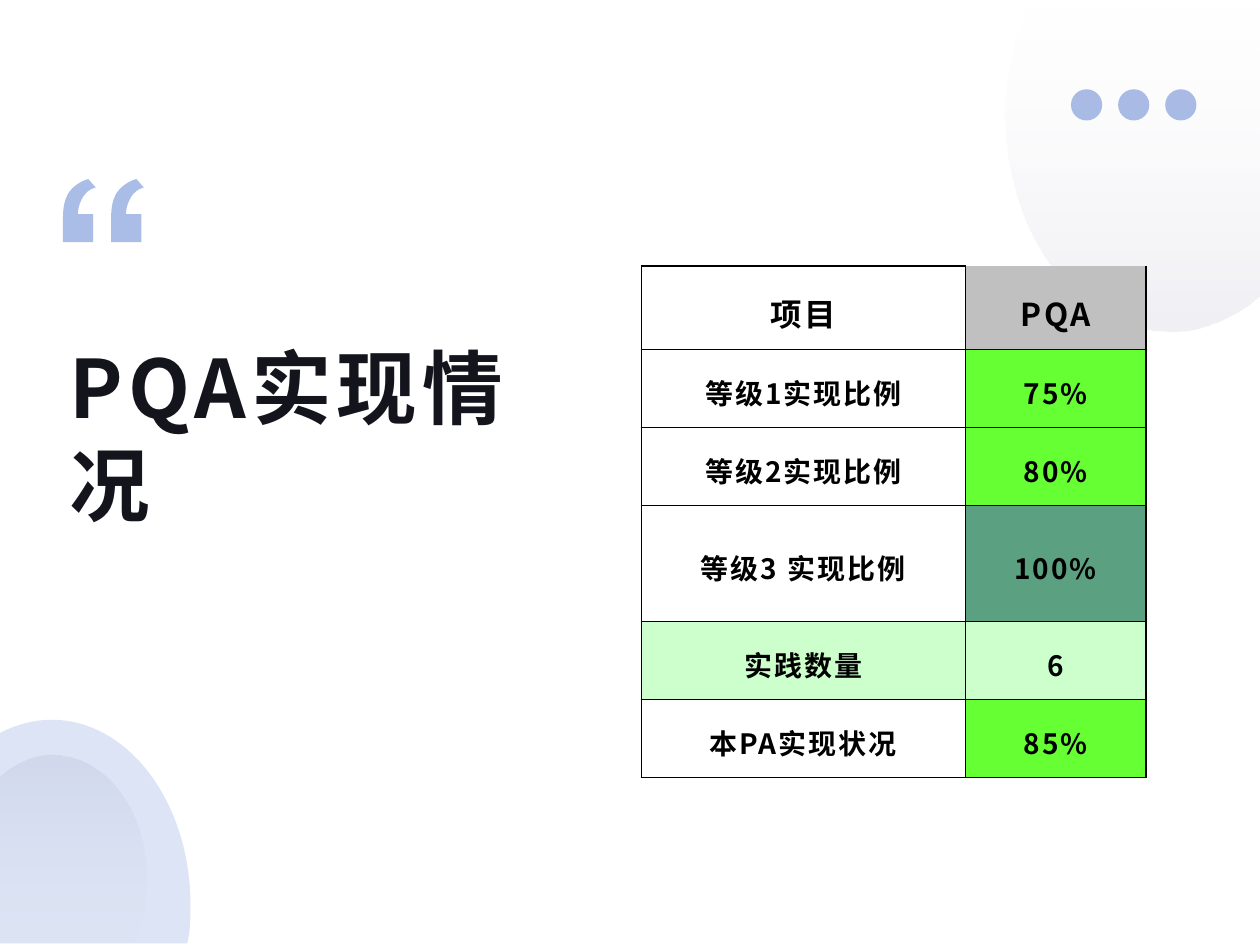
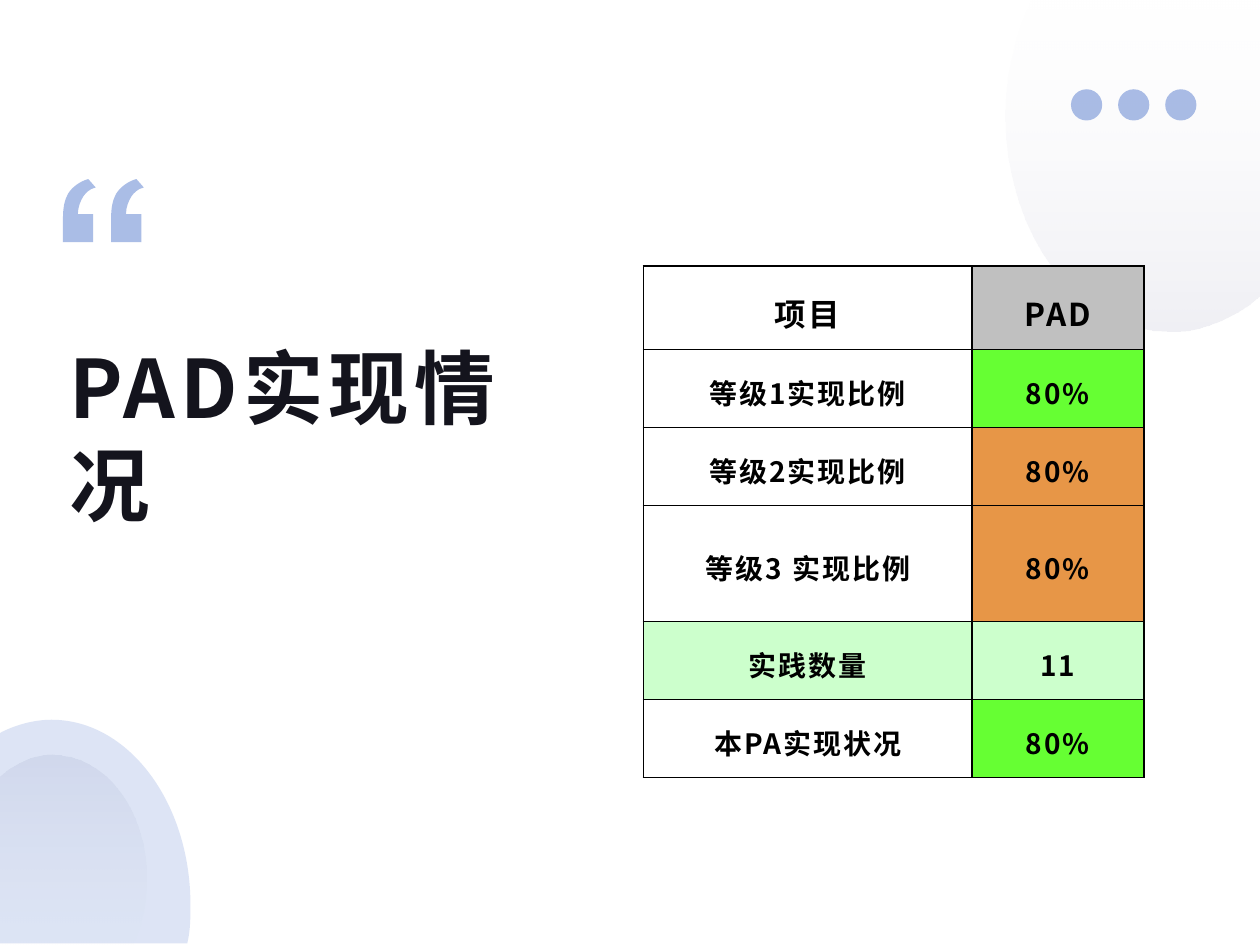
from lxml.etree import SubElement
from pptx import Presentation
from pptx.dml.color import RGBColor
from pptx.enum.shapes import MSO_SHAPE
from pptx.enum.text import MSO_ANCHOR, PP_ALIGN
from pptx.oxml.ns import qn
from pptx.util import Cm, Pt

FONT = "Noto Sans CJK SC"
BLUE = RGBColor(0x57, 0x7C, 0xCE)
MIST = RGBColor(0xBE, 0xBE, 0xD2)
INK = RGBColor(0x14, 0x14, 0x1D)
BLACK = RGBColor(0, 0, 0)
WHITE = RGBColor(0xFF, 0xFF, 0xFF)
GREY = RGBColor(0xC0, 0xC0, 0xC0)
LIME = RGBColor(0x66, 0xFF, 0x33)
TEAL = RGBColor(0x5B, 0xA0, 0x80)
AMBER = RGBColor(0xE7, 0x96, 0x47)
MINT = RGBColor(0xCC, 0xFF, 0xCC)

# Outlines in cm: a pair is a line end, six numbers are a Bezier curve
CLOUD = [(20.8, 0), (25.4, 0), (25.4, 5.94), (25.15, 6.15),
         (24.66, 6.48, 24.13, 6.68, 23.57, 6.68),
         (21.75, 6.68, 20.27, 4.75, 20.27, 2.34),
         (20.27, 1.6, 20.42, 0.89, 20.68, 0.28)]
# The core is drawn upside down and then turned by 180 degrees
CORE = [(0.31, 15.21), (2.95, 15.21), (2.95, 18.61), (2.8, 18.74),
        (2.54, 18.92, 2.21, 19.05, 1.91, 19.05),
        (0.84, 19.05, 0, 17.93, 0, 16.56),
        (0, 16.12, 0.08, 15.72, 0.23, 15.36)]
HILL = [(1.04, 14.51), (2.59, 14.51, 3.84, 16.18, 3.84, 18.24),
        (3.84, 18.49, 3.84, 18.75, 3.78, 19), (3.78, 19.02),
        (0, 19.02), (0, 14.78), (0.03, 14.76),
        (0.33, 14.61, 0.69, 14.51, 1.04, 14.51)]
QUOTE = [(1.88, 4.32), (1.88, 4.88), (1.27, 4.88), (1.27, 4.42),
         (1.27, 4.19, 1.3, 4.04, 1.37, 3.91),
         (1.45, 3.78, 1.6, 3.66, 1.78, 3.61), (1.93, 3.78),
         (1.8, 3.81, 1.73, 3.89, 1.68, 3.96),
         (1.63, 4.04, 1.57, 4.17, 1.57, 4.32)]
QUOTE_GAP = 0.97

# Table rows: label and height
ROWS = [("项目", 1.69), ("等级1实现比例", 1.57), ("等级2实现比例", 1.57),
        ("等级3 实现比例", 2.34), ("实践数量", 1.57), ("本PA实现状况", 1.57)]


def draw(slide, outline, shifts=(0,)):
    """Draw the outline once for each shift, as one shape."""
    flat = [part[i:i + 2] for part in outline for i in range(0, len(part), 2)]
    pen = None
    for shift in shifts:
        dots = [(Cm(x + shift), Cm(y)) for x, y in flat]
        if pen:
            pen.move_to(*dots[0])
        else:
            pen = slide.shapes.build_freeform(*dots[0])
        pen.add_line_segments(dots[1:], close=True)
    shape = pen.convert_to_shape()
    bend(shape, outline[1:] * len(shifts))
    return shape


def bend(shape, parts):
    """Join the three points of each curve into one Bezier segment."""
    lines = iter(list(shape._element.spPr.iter(qn("a:lnTo"))))
    for part in parts:
        first = next(lines)
        if len(part) == 6:
            first.tag = qn("a:cubicBezTo")
            for _ in range(2):
                extra = next(lines)
                first.append(extra[0])
                extra.getparent().remove(extra)


def fade(shape, *shares):
    """Set the opacity of each fill colour, in percent."""
    shape.line.fill.background()
    shape.shadow.inherit = False
    for color, share in zip(shape._element.spPr.iter(qn("a:srgbClr")), shares):
        SubElement(color, qn("a:alpha"), val=str(share * 1000))


def tint(shape, share):
    shape.fill.solid()
    shape.fill.fore_color.rgb = BLUE
    fade(shape, share)


def blend(shape):
    shape.fill.gradient()
    shape.fill.gradient_angle = 270
    for stop, color, place in zip(shape.fill.gradient_stops, (WHITE, MIST), (0, 1)):
        stop.color.rgb = color
        stop.position = place
    fade(shape, 10, 24)


def style(para, size, color, space):
    font = para.font
    font.size, font.bold, font.name = Pt(size), True, FONT
    font.color.rgb = color
    base = para._p.pPr.find(qn("a:defRPr"))
    base.set("spc", str(round(space * 100)))
    SubElement(base, qn("a:ea"), typeface=FONT)


def add_decor(slide):
    blend(draw(slide, CLOUD))
    core = draw(slide, CORE)
    core.rotation = 180
    blend(core)
    for i in range(3):
        dot = slide.shapes.add_shape(MSO_SHAPE.OVAL, Cm(21.59 + 0.95 * i),
                                     Cm(1.8), Cm(0.63), Cm(0.63))
        tint(dot, 50)
    tint(draw(slide, HILL), 20)
    tint(draw(slide, QUOTE, (0, QUOTE_GAP)), 50)


def add_title(slide, text):
    box = slide.shapes.add_textbox(Cm(1.27), Cm(6.65), Cm(9.37), Cm(4.24))
    frame = box.text_frame
    frame.word_wrap = True
    frame.vertical_anchor = MSO_ANCHOR.MIDDLE
    frame.margin_left = frame.margin_right = Cm(0.13)
    frame.margin_top = frame.margin_bottom = Cm(0.05)
    frame.text = text
    style(frame.paragraphs[0], 46, INK, 3)


def edge(cell, bare=""):
    """Draw thin black cell borders, except on the bare side."""
    props = cell._tc.get_or_add_tcPr()
    for side in "LRTB":
        line = SubElement(props, qn("a:ln" + side), w=str(Pt(1)))
        if side == bare:
            SubElement(line, qn("a:noFill"))
        else:
            fill = SubElement(line, qn("a:solidFill"))
            SubElement(fill, qn("a:srgbClr"), val=str(BLACK))


def fill_cell(cell, text, color, head, bare=""):
    edge(cell, bare)
    cell.fill.solid()
    cell.fill.fore_color.rgb = color
    cell.vertical_anchor = MSO_ANCHOR.MIDDLE
    cell.margin_left = cell.margin_right = Cm(0.48)
    cell.margin_top = cell.margin_bottom = Cm(0.3)
    cell.text = text
    para = cell.text_frame.paragraphs[0]
    para.alignment = PP_ALIGN.CENTER
    para.line_spacing = 1.2
    style(para, 18 if head else 16, BLACK, 1.3 if head else 1.2)


def add_grid(slide, left, widths, marks, bare):
    high = sum(height for _, height in ROWS)
    grid = slide.shapes.add_table(len(ROWS), 2, Cm(left), Cm(5.36),
                                  Cm(sum(widths)), Cm(high)).table
    grid.first_row = grid.horz_banding = False
    for column, width in zip(grid.columns, widths):
        column.width = Cm(width)
    for i, ((label, height), (value, color)) in enumerate(zip(ROWS, marks)):
        grid.rows[i].height = Cm(height)
        head = i == 0
        fill_cell(grid.cell(i, 0), label, MINT if color == MINT else WHITE, head)
        fill_cell(grid.cell(i, 1), value, color, head, bare if head else "")


def add_page(deck, area, left, widths, marks, bare=""):
    slide = deck.slides.add_slide(deck.slide_layouts[6])
    add_decor(slide)
    add_title(slide, area + "实现情况")
    add_grid(slide, left, widths, [(area, GREY)] + marks, bare)


def main():
    deck = Presentation()
    deck.slide_width, deck.slide_height = Cm(25.4), Cm(19.05)
    # PQA: the value heading has no top border
    add_page(deck, "PQA", 12.93, (6.53, 3.64),
             [("75%", LIME), ("80%", LIME), ("100%", TEAL), ("6", MINT),
              ("85%", LIME)], bare="T")
    # PAD
    add_page(deck, "PAD", 12.97, (6.62, 3.47),
             [("80%", LIME), ("80%", AMBER), ("80%", AMBER), ("11", MINT),
              ("80%", LIME)])
    deck.save("out.pptx")


if __name__ == "__main__":
    main()
